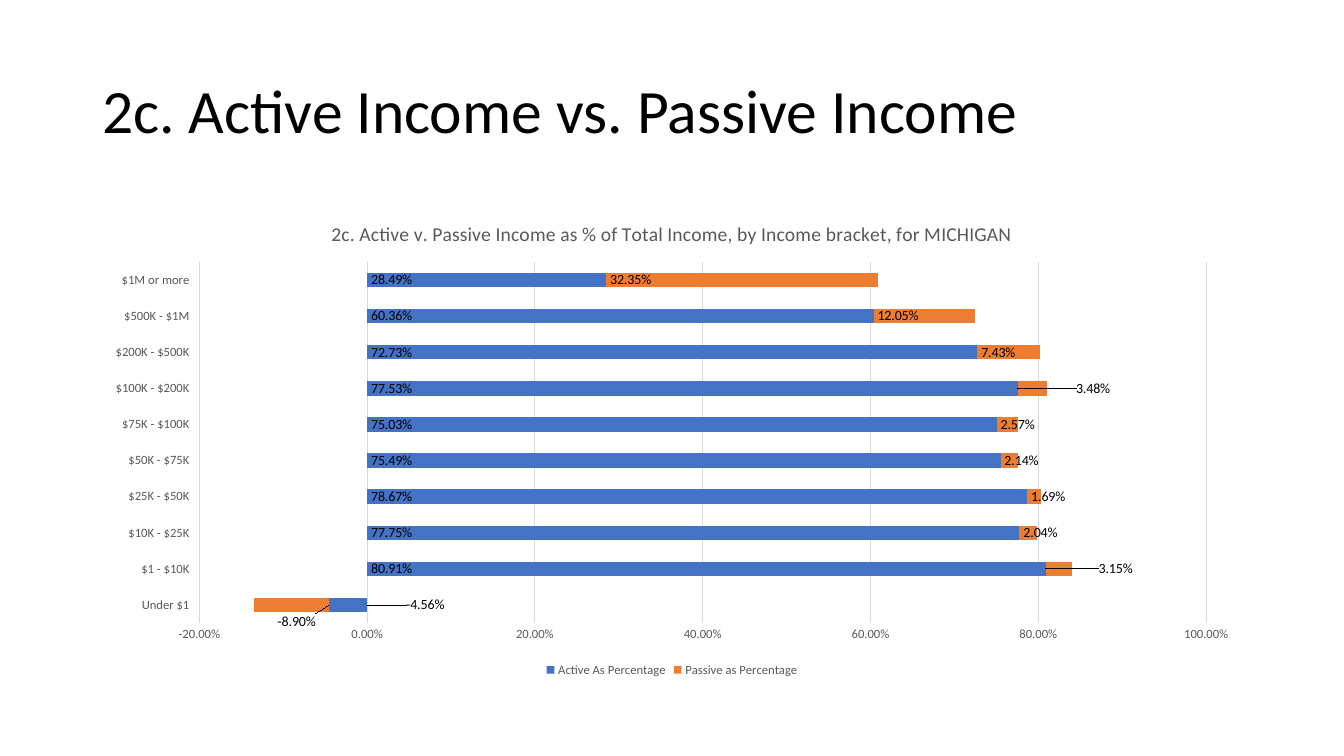
from lxml.etree import SubElement
from pptx import Presentation
from pptx.chart.data import CategoryChartData
from pptx.dml.color import RGBColor
from pptx.enum.chart import (XL_CHART_TYPE, XL_LABEL_POSITION, XL_LEGEND_POSITION,
                             XL_TICK_LABEL_POSITION, XL_TICK_MARK)
from pptx.enum.text import MSO_ANCHOR
from pptx.oxml import parse_xml
from pptx.oxml.ns import nsdecls, qn
from pptx.util import Cm, Pt

COLORS = {
    "text": "000000",
    "muted": "595959",
    "grid": "D9D9D9",
    "active": "4472C4",
    "passive": "ED7D31",
}
PERCENT = "0.00%"
BRACKETS = ["Under $1", "$1 - $10K", "$10K - $25K", "$25K - $50K", "$50K - $75K",
            "$75K - $100K", "$100K - $200K", "$200K - $500K", "$500K - $1M",
            "$1M or more"]
INCOMES = [
    {
        "name": "Active As Percentage",
        "shares": [-0.0456, 0.8091, 0.7775, 0.7867, 0.7549,
                   0.7503, 0.7753, 0.7273, 0.6036, 0.2849],
        "color": "active",
        "label_shifts": {0: (0.07, 0)},
    },
    {
        "name": "Passive as Percentage",
        "shares": [-0.089, 0.0315, 0.0204, 0.0169, 0.0214,
                   0.0257, 0.0348, 0.0743, 0.1205, 0.3235],
        "color": "passive",
        "label_shifts": {0: (-0.008, 0.034), 1: (0.042, 0), 6: (0.047, 0)},
    },
]


def format_font(font, size=10, color="text", name="Calibri", bold=False):
    font.size = Pt(size)
    font.name = name
    font.bold = bold
    font.color.rgb = RGBColor.from_string(COLORS[color])


def write_text(frame, text, spacing=None, **style):
    paragraph = frame.paragraphs[0]
    paragraph.line_spacing = spacing
    run = paragraph.add_run()
    run.text = text
    format_font(run.font, **style)


class IncomeSlide:
    axis_style = {"size": 9, "color": "muted"}

    def __init__(self, presentation):
        self.slide = presentation.slides.add_slide(presentation.slide_layouts[6])

    def add_heading(self, text, left, top, width, height):
        frame = self.slide.shapes.add_textbox(
            Cm(left), Cm(top), Cm(width), Cm(height)).text_frame
        frame.word_wrap = True
        frame.vertical_anchor = MSO_ANCHOR.MIDDLE
        write_text(frame, text, spacing=0.9, size=44)

    def add_stacked_bars(self, title, brackets, incomes, left, top, width, height):
        shares = CategoryChartData(number_format=PERCENT)
        shares.categories = brackets
        for income in incomes:
            shares.add_series(income["name"], income["shares"])
        chart = self.slide.shapes.add_chart(
            XL_CHART_TYPE.BAR_STACKED, Cm(left), Cm(top), Cm(width), Cm(height),
            shares).chart
        format_font(chart.font)
        chart.has_title = True
        write_text(chart.chart_title.text_frame, title, size=14, color="muted")
        chart.chart_title.include_in_layout = False
        chart.has_legend = True
        chart.legend.position = XL_LEGEND_POSITION.BOTTOM
        chart.legend.include_in_layout = False
        format_font(chart.legend.font, **self.axis_style)
        self.style_axes(chart)
        plot = chart.plots[0]
        plot.gap_width = 150
        plot.overlap = 100
        for bars, income in zip(plot.series, incomes):
            self.style_bars(bars, income)

    def style_axes(self, chart):
        bracket_axis, share_axis = chart.category_axis, chart.value_axis
        for axis in (bracket_axis, share_axis):
            axis.major_tick_mark = XL_TICK_MARK.NONE
            axis.minor_tick_mark = XL_TICK_MARK.NONE
            format_font(axis.tick_labels.font, **self.axis_style)
        bracket_axis.tick_label_position = XL_TICK_LABEL_POSITION.LOW
        share_axis.minimum_scale = -0.2
        share_axis.maximum_scale = 1
        share_axis.major_unit = 0.2
        share_axis.has_major_gridlines = True
        share_axis.tick_labels.number_format = PERCENT
        share_axis.tick_labels.number_format_is_linked = False
        share_axis.format.line.fill.background()
        for line in (bracket_axis.format.line, share_axis.major_gridlines.format.line):
            line.color.rgb = RGBColor.from_string(COLORS["grid"])
            line.width = Pt(0.75)

    def style_bars(self, bars, income):
        bars.invert_if_negative = False
        bars.format.fill.solid()
        bars.format.fill.fore_color.rgb = RGBColor.from_string(COLORS[income["color"]])
        labels = bars.data_labels
        labels.show_value = True
        labels.number_format = PERCENT
        labels.number_format_is_linked = False
        labels.position = XL_LABEL_POSITION.INSIDE_BASE
        format_font(labels.font)
        for index, shift in income["label_shifts"].items():
            self.shift_label(bars, index, *shift)

    def shift_label(self, bars, index, right, down):
        label = bars.points[index].data_label
        label.position = XL_LABEL_POSITION.INSIDE_BASE
        format_font(label.font)
        layout = parse_xml(f"<c:layout {nsdecls('c')}><c:manualLayout/></c:layout>")
        for axis, offset in (("x", right), ("y", down)):
            SubElement(layout[0], qn(f"c:{axis}")).set("val", str(offset))
        marker = bars._element.xpath(f'.//c:dLbl/c:idx[@val="{index}"]')[0]
        marker.addnext(layout)


def main():
    presentation = Presentation()
    presentation.slide_width = Cm(33.87)
    presentation.slide_height = Cm(19.05)
    page = IncomeSlide(presentation)
    left, width = 2.33, 29.21
    page.add_heading("2c. Active Income vs. Passive Income", left, 1.01, width, 3.68)
    page.add_stacked_bars(
        "2c. Active v. Passive Income as % of Total Income, by Income bracket, for MICHIGAN",
        BRACKETS, INCOMES, left, 5.08, width, 12.09)
    presentation.save("out.pptx")


if __name__ == "__main__":
    main()
